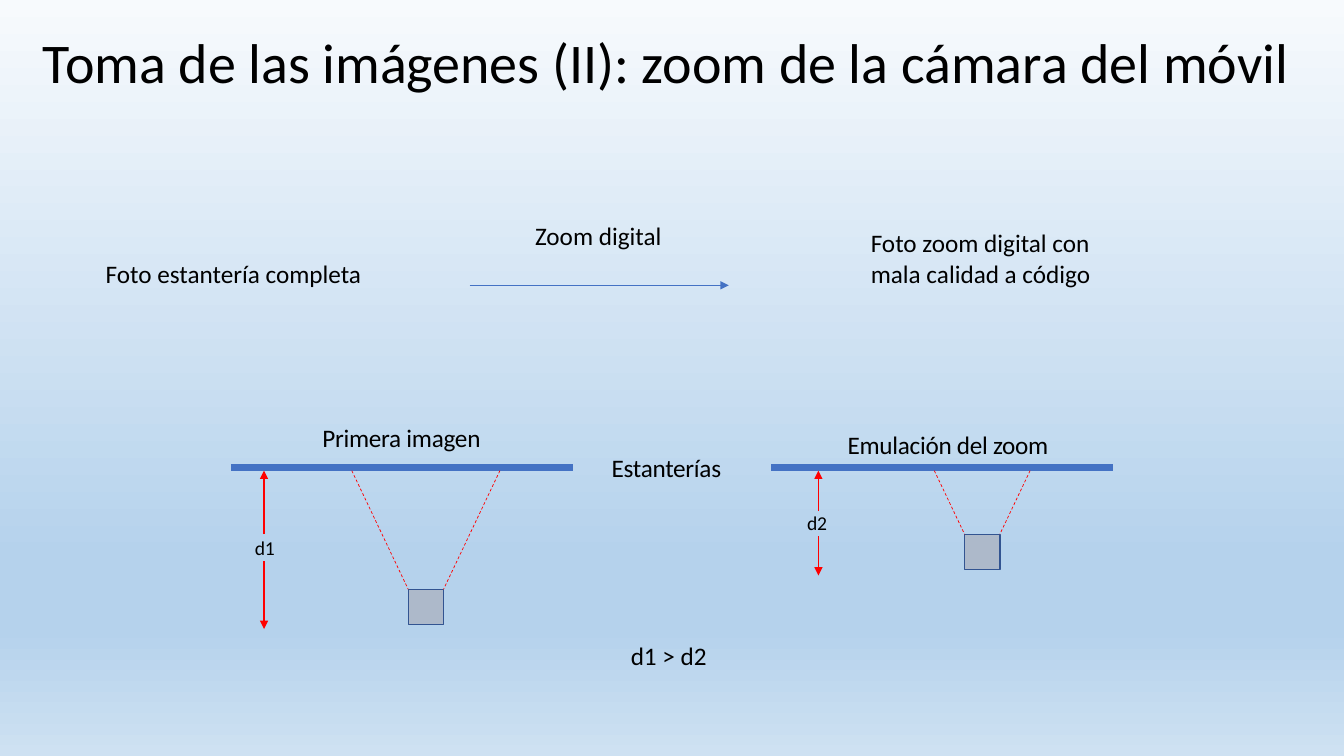
"""Builds a slide comparing digital zoom with moving the camera closer to the shelf."""
from lxml.etree import SubElement
from pptx import Presentation
from pptx.dml.color import RGBColor
from pptx.enum.dml import MSO_LINE
from pptx.enum.shapes import MSO_CONNECTOR, MSO_SHAPE
from pptx.enum.text import MSO_ANCHOR, PP_ALIGN
from pptx.oxml.ns import qn
from pptx.util import Pt

BLUE, RED, GRAY, NAVY = "4472C4", "FF0000", "ADB9CA", "325491"
SKY = [(0, "F7FAFD"), (74, "B5D2EC"), (83, "B5D2EC"), (100, "CEE1F2")]
SHELF_Y, SHELF_WIDTH, RAY_Y, CAMERA_SIZE = 334, 244, 336.2, 25.2


def color(value):
    return RGBColor.from_string(value)


def paint_background(page, stops):
    fill = page.background.fill
    fill.gradient()
    fill.gradient_angle = 270
    stop_list = fill.gradient_stops[0]._gs.getparent()
    for old in list(stop_list):
        stop_list.remove(old)
    for percent, shade in stops:
        stop = SubElement(stop_list, qn("a:gs"), pos=str(percent * 1000))
        SubElement(stop, qn("a:srgbClr"), val=shade)


def add_text(page, text, left, top, width, height=28.8, size=18,
             align=PP_ALIGN.LEFT, anchor=MSO_ANCHOR.TOP):
    frame = page.shapes.add_textbox(Pt(left), Pt(top), Pt(width), Pt(height)).text_frame
    frame.word_wrap = True
    frame.vertical_anchor = anchor
    para = frame.paragraphs[0]
    para.text = text
    para.alignment = align
    para.font.name = "Calibri"
    para.font.size = Pt(size)
    para.font.color.rgb = color("000000")
    return para


def add_label(page, text, left, top, width, size=18):
    para = add_text(page, text, left, top, width, size=size, align=PP_ALIGN.JUSTIFY)
    para.space_after = Pt(6)
    para._p.get_or_add_pPr().get_or_add_defRPr().set("spc", "-20")


def add_line(page, start, end, shade, weight, dashed=False, arrow=False):
    ends = [Pt(value) for value in (*start, *end)]
    connector = page.shapes.add_connector(MSO_CONNECTOR.STRAIGHT, *ends)
    connector.line.color.rgb = color(shade)
    connector.line.width = Pt(weight)
    if dashed:
        connector.line.dash_style = MSO_LINE.DASH
    if arrow:
        SubElement(connector.line._get_or_add_ln(), qn("a:tailEnd"), type="triangle")
    SubElement(connector._element.spPr, qn("a:effectLst"))


def add_camera(page, left, top, spread):
    """Draw a camera whose two rays widen by spread on their way to the shelf."""
    camera = page.shapes.add_shape(MSO_SHAPE.RECTANGLE, Pt(left), Pt(top),
                                   Pt(CAMERA_SIZE), Pt(CAMERA_SIZE))
    camera.shadow.inherit = False
    camera.fill.solid()
    camera.fill.fore_color.rgb = color(GRAY)
    camera.line.color.rgb = color(NAVY)
    camera.line.width = Pt(1)
    for corner, shift in ((left, -spread), (left + CAMERA_SIZE, spread)):
        add_line(page, (corner + shift, RAY_Y), (corner, top), RED, 0.5, dashed=True)


def add_distance(page, name, x, gap_top, gap_bottom, bottom, label_left, label_top):
    add_line(page, (x, gap_bottom), (x, bottom), RED, 1, arrow=True)
    add_line(page, (x, gap_top), (x, RAY_Y), RED, 1, arrow=True)
    add_label(page, name, label_left, label_top, 38.2, size=14)


def main():
    deck = Presentation()
    deck.slide_width, deck.slide_height = Pt(960), Pt(540)
    page = deck.slides.add_slide(deck.slide_layouts[6])
    paint_background(page, SKY)

    title = add_text(page, "Toma de las imágenes (II): zoom de la cámara del móvil ",
                     0, 0, 960, 92.9, 40, PP_ALIGN.CENTER, MSO_ANCHOR.MIDDLE)
    title.line_spacing = 0.9

    add_text(page, "Foto estantería completa", 68.4, 180.7, 205.2)
    add_text(page, "Foto zoom digital con mala calidad a código", 614.9, 159.1, 205.2, 51.1)
    add_text(page, "Zoom digital", 375.1, 154.1, 319)
    add_line(page, (335.5, 203.8), (520.6, 203.8), BLUE, 0.5, arrow=True)

    for shelf_left in (165, 551):
        add_line(page, (shelf_left, SHELF_Y), (shelf_left + SHELF_WIDTH, SHELF_Y), BLUE, 4.5)
    add_label(page, "Primera imagen", 223.2, 298.1, 134.6)
    add_label(page, "Estanterías", 429.8, 319.7, 96.5)
    add_label(page, "Emulación del zoom", 598.3, 303.1, 168.5)

    add_camera(page, 291.6, 421, 40.3)
    add_camera(page, 689, 381.6, 21.6)
    add_distance(page, "d1", 188.6, 381.6, 401, 449.3, 175, 379.4)
    add_distance(page, "d2", 584.6, 365, 383, 411.1, 569.5, 361.4)
    add_text(page, "d1 > d2", 443.5, 453.6, 69.1)

    deck.save("out.pptx")


if __name__ == "__main__":
    main()
